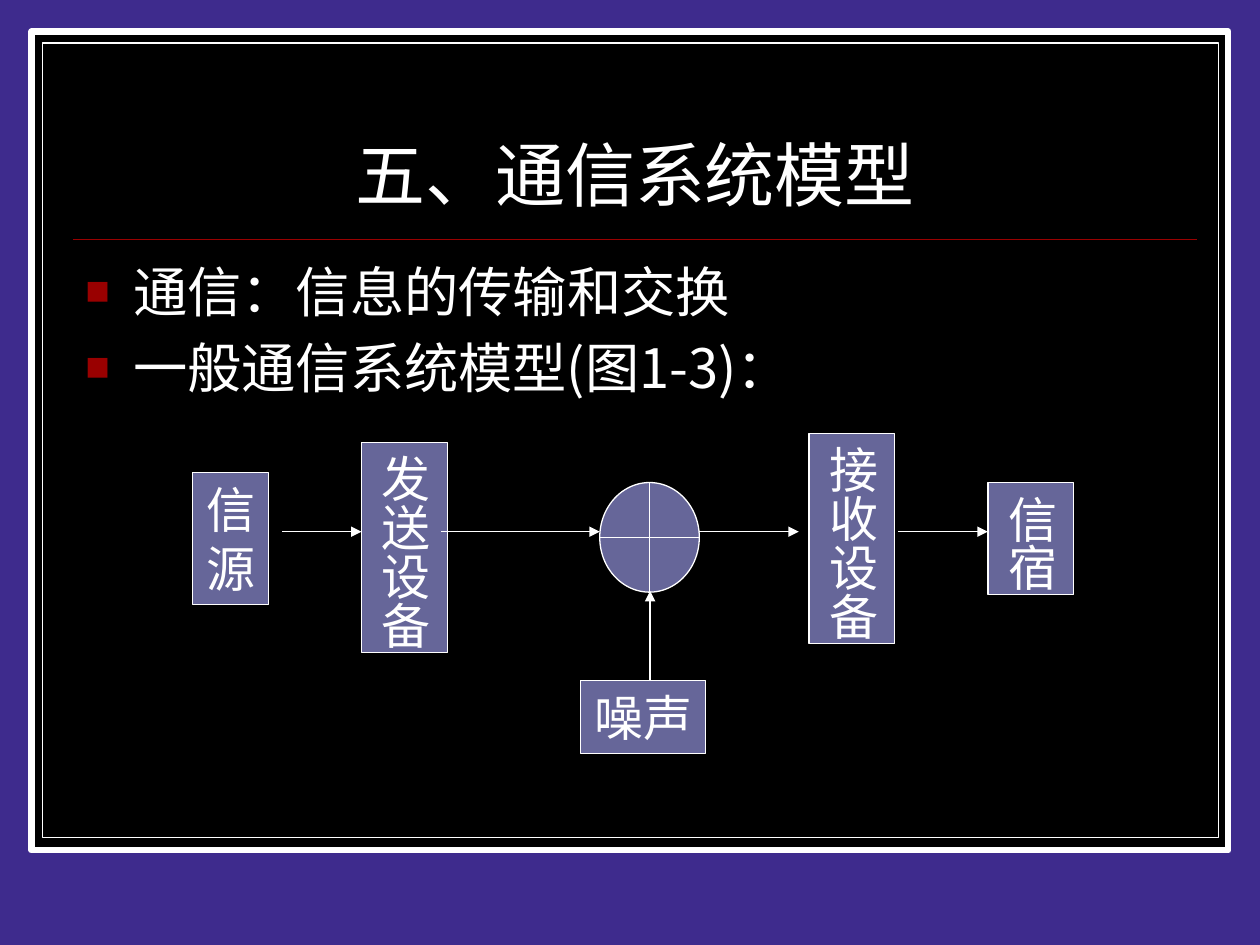
from pptx import Presentation
from pptx.dml.color import RGBColor
from pptx.enum.shapes import MSO_CONNECTOR as LINE, MSO_SHAPE as SHAPE
from pptx.enum.text import MSO_ANCHOR as ANCHOR, PP_ALIGN as ALIGN
from pptx.oxml.ns import qn
from pptx.util import Inches, Pt
from lxml.etree import SubElement

WHITE = RGBColor(255, 255, 255)
BLACK = RGBColor(0, 0, 0)
RED = RGBColor(0x99, 0, 0)
PURPLE = RGBColor(0x3E, 0x2B, 0x8D)
SLATE = RGBColor(0x66, 0x66, 0x99)
SANS = "Noto Sans CJK SC"

prs = Presentation()
prs.slide_width, prs.slide_height = Inches(10), Inches(7.5)
slide = prs.slides.add_slide(prs.slide_layouts[5])
slide.background.fill.solid()
slide.background.fill.fore_color.rgb = PURPLE
shapes = slide.shapes


def add_box(kind, place, fill, width=0.75):
    box = shapes.add_shape(kind, *map(Inches, place))
    box.shadow.inherit = False
    box.fill.solid()
    box.fill.fore_color.rgb = fill
    box.line.color.rgb = WHITE
    box.line.width = Pt(width)
    return box


def add_line(x1, y1, x2, y2, color=WHITE, width=0.75, arrow=True):
    line = shapes.add_connector(LINE.STRAIGHT, *map(Inches, (x1, y1, x2, y2)))
    line.line.color.rgb = color
    line.line.width = Pt(width)
    if arrow:
        SubElement(line.line._get_or_add_ln(), qn("a:tailEnd"), type="triangle")
    SubElement(line.element.spPr, qn("a:effectLst"))


# Double frame and rule
add_box(SHAPE.RECTANGLE, (0.25, 0.25, 9.5, 6.5), BLACK, 3.5)
add_box(SHAPE.RECTANGLE, (0.34, 0.34, 9.33, 6.31), BLACK)
add_line(0.58, 1.9, 9.5, 1.9, RED, 1, False)

# Title, brought in front of the frame
title = shapes.title
title.left, title.top, title.width, title.height = map(
    Inches, (2.72, 1.13, 4.65, 0.63))
frame = title.text_frame
frame.text = "五、通信系统模型"
frame.word_wrap = False
frame.vertical_anchor = ANCHOR.BOTTOM
para = frame.paragraphs[0]
para.alignment = ALIGN.LEFT
para.line_spacing = 0.8
font = para.runs[0].font
font.name, font.size, font.color.rgb = SANS, Pt(40), WHITE
shapes.element.append(title.element)

# Bullet list
frame = shapes.add_textbox(*map(Inches, (0.58, 2, 8.92, 4.42))).text_frame
frame.word_wrap = True
items = [
    [("通信：信息的传输和交换", "Arial")],
    [("一般通信", "Arial"), ("系统模型(图1-3)：", SANS)],
]
for i, item in enumerate(items):
    para = frame.add_paragraph() if i else frame.paragraphs[0]
    props = para._p.get_or_add_pPr()
    props.set("marL", str(Inches(0.38)))
    props.set("indent", str(-Inches(0.38)))
    color = SubElement(props, qn("a:buClr"))
    SubElement(color, qn("a:srgbClr"), val=str(RED))
    SubElement(props, qn("a:buSzPct"), val="75000")
    SubElement(props, qn("a:buFont"), typeface="Arial")
    SubElement(props, qn("a:buChar"), char="■")
    if i:
        para.space_before = Pt(6)
    for text, name in item:
        run = para.add_run()
        run.text = text
        font = run.font
        font.name, font.size, font.color.rgb = name, Pt(31), WHITE

# Blocks of the system: text, place, vertical writing
blocks = [
    ("信\n源", (1.53, 3.75, 0.6, 1.05), False),
    ("发送设备", (2.87, 3.51, 0.68, 1.67), True),
    ("接收设备", (6.42, 3.44, 0.68, 1.67), True),
    ("信宿", (7.84, 3.83, 0.68, 0.89), True),
    ("噪声", (4.61, 5.4, 0.99, 0.58), False),
]
for text, place, upright in blocks:
    frame = add_box(SHAPE.RECTANGLE, place, SLATE).text_frame
    frame.text = text
    frame.word_wrap = False
    frame.vertical_anchor = ANCHOR.MIDDLE
    if upright:
        frame._txBody.bodyPr.set("vert", "eaVert")
    for para in frame.paragraphs:
        para.alignment = ALIGN.CENTER
        font = para.runs[0].font
        font.name, font.size, font.color.rgb = "Arial", Pt(28), WHITE

# Channel where the noise joins
add_box(SHAPE.FLOWCHART_OR, (4.76, 3.83, 0.79, 0.87), SLATE)

# Signal path and noise arrow
for start, end in [(2.24, 2.87), (3.5, 4.76), (5.55, 6.34), (7.13, 7.84)]:
    add_line(start, 4.22, end, 4.22)
add_line(5.16, 5.4, 5.16, 4.69)

prs.save("out.pptx")
